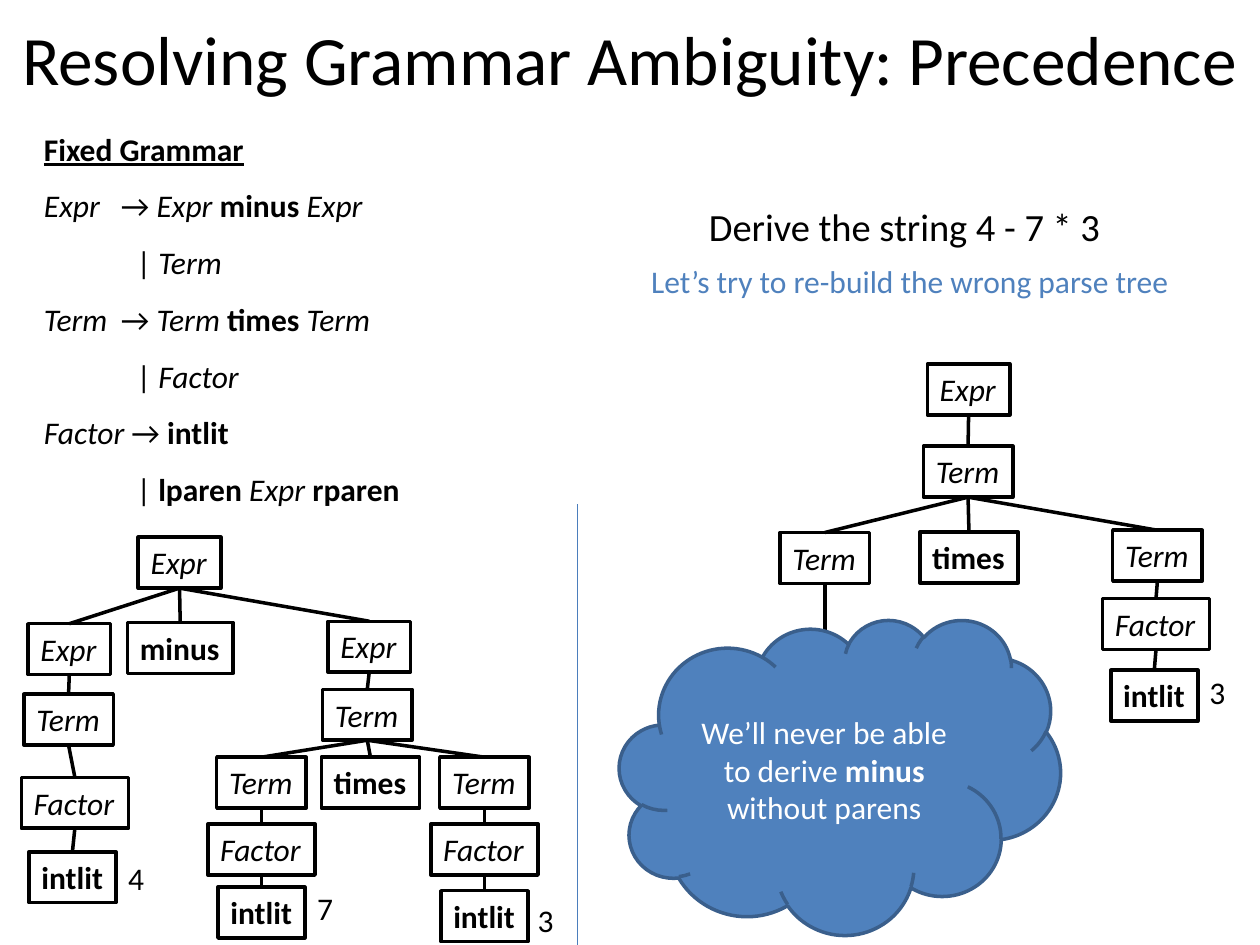
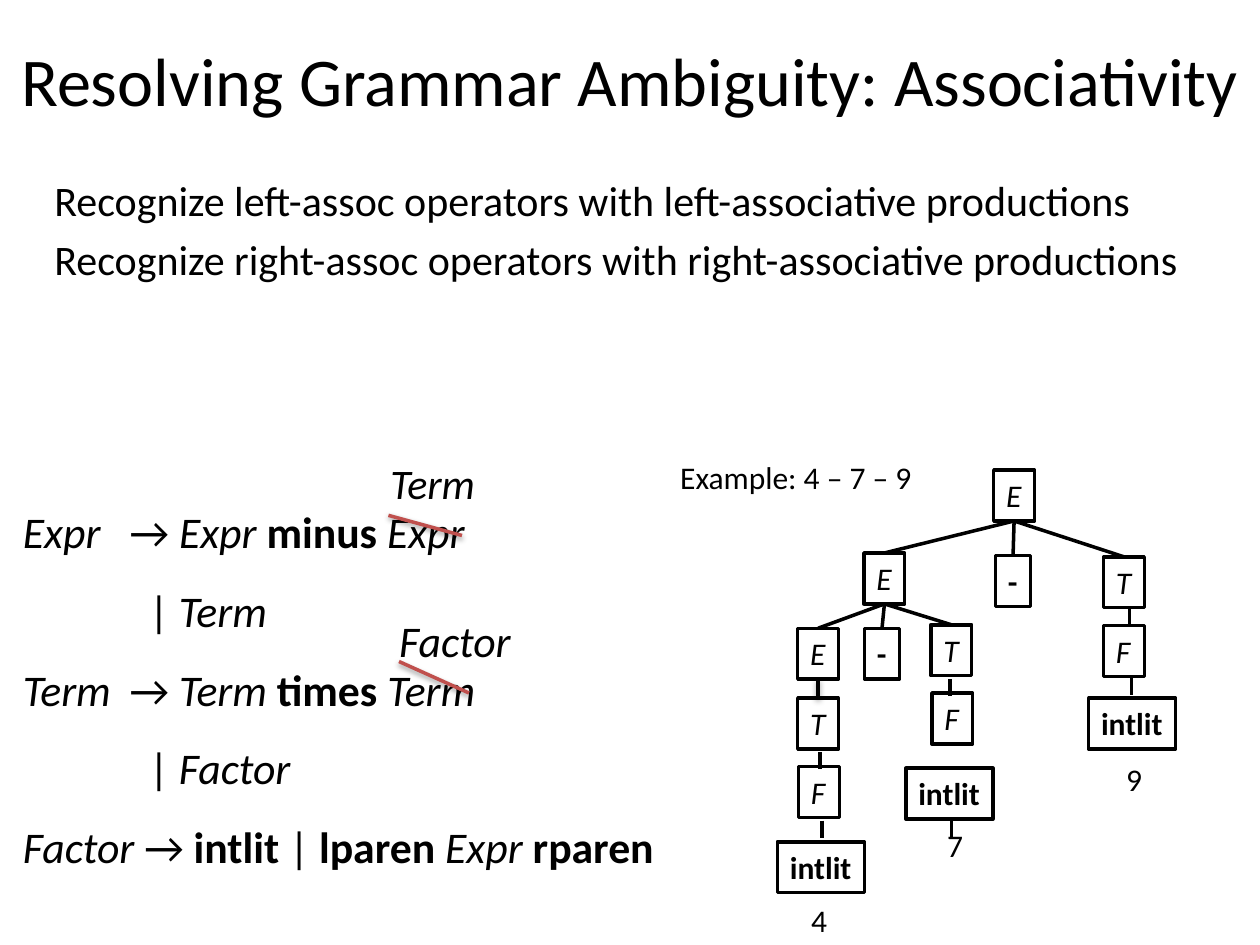
from dataclasses import dataclass
from itertools import groupby

from lxml import etree
from pptx import Presentation
from pptx.dml.color import RGBColor
from pptx.enum.shapes import MSO_CONNECTOR as Connector
from pptx.enum.shapes import MSO_SHAPE as Preset
from pptx.enum.text import MSO_ANCHOR as Anchor
from pptx.enum.text import MSO_AUTO_SIZE as AutoSize
from pptx.enum.text import PP_ALIGN as Align
from pptx.oxml.ns import qn
from pptx.util import Pt

BLACK = RGBColor(0x00, 0x00, 0x00)
WHITE = RGBColor(0xFF, 0xFF, 0xFF)
BLUE = RGBColor(0x4F, 0x81, 0xBD)
DARK_BLUE = RGBColor(0x3A, 0x5F, 0x8C)
DIVIDER_BLUE = RGBColor(0x4B, 0x7E, 0xBC)
RED = RGBColor(0xC0, 0x50, 0x4D)

FONT = "Calibri"
SLIDE_WIDTH, SLIDE_HEIGHT = 720, 540
BODY_SIZE = 18
TREE_LINE = 2
NODE_HEIGHT = 29.1
STUB_LENGTH = 9.6
BOTTOM, TOP = 2, 0

NODE_WIDTHS = {
    "Expr": 47.2, "Term": 51.1, "Factor": 61.3, "intlit": 49.7, "minus": 60.3,
    "times": 56.2, "E": 23.3, "T": 23.3, "F": 23.3, "-": 20,
}
NONTERMINALS = {"Expr", "Term", "Factor", "E", "T", "F"}
TERMINALS = {"minus", "times", "intlit", "lparen", "rparen"}
ITALIC = {"italic": True}
BOLD = {"bold": True}
HEADING = {"bold": True, "underline": True}


@dataclass(frozen=True)
class Line:
    """One paragraph; a tab in its text goes to the tab stop."""
    text: str
    style: dict | None = None
    tab: float | None = None


@dataclass(frozen=True)
class Label:
    """Text box; without wrap it grows to the width of its text."""
    lines: tuple[Line, ...]
    left: float
    top: float
    width: float
    height: float
    size: float = BODY_SIZE
    color: RGBColor = BLACK
    align: Align = Align.LEFT
    anchor: Anchor = Anchor.TOP
    wrap: bool = False
    spacing: float | None = None
    before: float | None = None
    fit: bool = True


@dataclass(frozen=True)
class Node:
    """Parse tree node, placed by its centre line and top."""
    symbol: str
    center: float
    top: float
    children: tuple["Node", ...] = ()
    shadowed_edge: bool = False


@dataclass(frozen=True)
class Stroke:
    x1: float
    y1: float
    x2: float
    y2: float
    color: RGBColor = BLACK
    width: float = TREE_LINE
    shadow: bool = False


def word_style(word: str) -> dict:
    if word in NONTERMINALS:
        return ITALIC
    return BOLD if word in TERMINALS else {}


def write_paragraph(paragraph, line: Line, size: float, color: RGBColor) -> None:
    """Set grammar symbols in italic or bold unless the line has its own style."""
    tokens = ["".join(chars) for _, chars in groupby(line.text, str.isspace)]
    style_of = word_style if line.style is None else lambda _: line.style
    for style, words in groupby(tokens, style_of):
        run = paragraph.add_run()
        run.text = "".join(words)
        run.font.color.rgb = color
        for name, value in ({"name": FONT, "size": Pt(size)} | style).items():
            setattr(run.font, name, value)
    if line.tab:
        tabs = etree.SubElement(paragraph._p.get_or_add_pPr(), qn("a:tabLst"))
        etree.SubElement(tabs, qn("a:tab"), pos=str(Pt(line.tab)), algn="l")


def fill_text(shape, label: Label) -> None:
    frame = shape.text_frame
    frame_format = {
        "word_wrap": label.wrap,
        "vertical_anchor": label.anchor,
        "auto_size": AutoSize.SHAPE_TO_FIT_TEXT if label.fit else AutoSize.NONE,
    }
    for name, value in frame_format.items():
        setattr(frame, name, value)
    paragraph_format = {"alignment": label.align}
    if label.spacing:
        paragraph_format["line_spacing"] = label.spacing
    if label.before:
        paragraph_format["space_before"] = Pt(label.before)
    for index, line in enumerate(label.lines):
        paragraph = frame.add_paragraph() if index else frame.paragraphs[0]
        for name, value in paragraph_format.items():
            setattr(paragraph, name, value)
        write_paragraph(paragraph, line, label.size, label.color)


def box_of(label: Label) -> tuple:
    return tuple(Pt(v) for v in (label.left, label.top, label.width, label.height))


def draw_label(slide, label: Label) -> None:
    fill_text(slide.shapes.add_textbox(*box_of(label)), label)


def draw_shape(slide, preset: Preset, label: Label, fill: RGBColor, outline: RGBColor):
    shape = slide.shapes.add_shape(preset, *box_of(label))
    shape.shadow.inherit = False
    shape.fill.solid()
    shape.fill.fore_color.rgb = fill
    shape.line.color.rgb = outline
    shape.line.width = Pt(TREE_LINE)
    fill_text(shape, label)
    return shape


def draw_stroke(slide, stroke: Stroke):
    ends = (Pt(v) for v in (stroke.x1, stroke.y1, stroke.x2, stroke.y2))
    connector = slide.shapes.add_connector(Connector.STRAIGHT, *ends)
    connector.line.color.rgb = stroke.color
    connector.line.width = Pt(stroke.width)
    effects = etree.SubElement(connector._element.spPr, qn("a:effectLst"))
    if stroke.shadow:
        shadow = etree.SubElement(
            effects, qn("a:outerShdw"), blurRad=str(Pt(3.1)), dist=str(Pt(1.6)),
            dir="5400000", rotWithShape="0")
        color = etree.SubElement(shadow, qn("a:srgbClr"), val=str(BLACK))
        etree.SubElement(color, qn("a:alpha"), val="38000")
    return connector


def draw_tree(slide, node: Node):
    """Draw a node and all below it, joining each parent to its children."""
    width = NODE_WIDTHS[node.symbol]
    style = ITALIC if node.symbol in NONTERMINALS else BOLD
    label = Label((Line(node.symbol, style),), node.center - width / 2, node.top,
                  width, NODE_HEIGHT)
    parent = draw_shape(slide, Preset.RECTANGLE, label, WHITE, BLACK)
    for child in node.children:
        child_box = draw_tree(slide, child)
        edge = draw_stroke(slide, Stroke(node.center, node.top + NODE_HEIGHT,
                                         child.center, child.top,
                                         shadow=child.shadowed_edge))
        edge.begin_connect(parent, BOTTOM)
        edge.end_connect(child_box, TOP)
    return parent


def draw_lexemes(slide, lexemes: tuple[tuple[str, float, float], ...]) -> None:
    for digit, left, top in lexemes:
        draw_label(slide, Label((Line(digit),), left, top, 23.7, NODE_HEIGHT))


def draw_title(slide, text: str, top: float, size: float) -> None:
    draw_label(slide, Label((Line(text, {}),), 0, top, SLIDE_WIDTH, 90, size,
                            align=Align.CENTER, anchor=Anchor.MIDDLE, wrap=True,
                            fit=False))


def grammar_rules(arrow_tab: float, bar_tab: float, last: tuple[Line, ...]) -> tuple:
    return (
        Line("Expr\t→ Expr minus Expr", tab=arrow_tab),
        Line("\t| Term", tab=bar_tab),
        Line("Term\t→ Term times Term", tab=arrow_tab),
        Line("\t| Factor", tab=bar_tab),
        *last,
    )


def build_precedence(slide) -> None:
    draw_title(slide, "Resolving Grammar Ambiguity: Precedence", -12.2, 39.6)
    bar_tab = 53
    factor_rules = (Line("Factor → intlit"),
                    Line("\t| lparen Expr rparen", tab=bar_tab))
    draw_label(slide, Label(
        (Line("Fixed Grammar", HEADING), *grammar_rules(44, bar_tab, factor_rules)),
        18, 59.8, 234, 236, wrap=True, spacing=1.5))

    draw_tree(slide, Node("Expr", 102.6, 307, (
        Node("Expr", 39.6, 356.4, (
            Node("Term", 39.2, 396.7, (
                Node("Factor", 42.8, 444.2, (Node("intlit", 41.4, 486.7),)),)),)),
        Node("minus", 103, 355.7),
        Node("Expr", 211, 355, (
            Node("Term", 209.9, 393.9, (
                Node("Term", 149.4, 432.7, (
                    Node("Factor", 149.4, 470.9, (Node("intlit", 149.4, 506.9),)),)),
                Node("times", 211.7, 432.7),
                Node("Term", 276.8, 432.7, (
                    Node("Factor", 276.8, 470.9, (Node("intlit", 276.8, 509),)),)),
            )),)),
    )))
    draw_tree(slide, Node("Expr", 553.5, 208, (
        Node("Term", 553.2, 255, (
            Node("Term", 471.3, 304.3),
            Node("times", 553.7, 304),
            Node("Term", 661.4, 303, (
                Node("Factor", 660.6, 342, (Node("intlit", 659.6, 383),)),)),
        )),)))
    draw_lexemes(slide, (("4", 66.2, 487.4), ("7", 174.2, 504.7),
                         ("3", 300.2, 511.2), ("3", 684, 381)))

    draw_label(slide, Label((Line("Derive the string 4 - 7 * 3"),),
                            396.7, 112.3, 240.5, 33.9, 22, align=Align.CENTER))
    draw_label(slide, Label((Line("Let’s try to re-build the wrong parse tree"),),
                            365, 146.2, 319, NODE_HEIGHT, color=BLUE))
    draw_stroke(slide, Stroke(330, 288, 330, SLIDE_HEIGHT, DIVIDER_BLUE, 0.75))
    draw_stroke(slide, Stroke(471.3, 333.4, 471.3, 365))
    verdict = Label(
        (Line("We’ll never be able to derive minus"), Line("without parens")),
        354, 354, 252, 180, color=WHITE, align=Align.CENTER,
        anchor=Anchor.MIDDLE, wrap=True, fit=False)
    draw_shape(slide, Preset.CLOUD, verdict, BLUE, DARK_BLUE)


def build_associativity(slide) -> None:
    draw_title(slide, "Resolving Grammar Ambiguity: Associativity", 0, 39)
    draw_label(slide, Label(
        (Line("Recognize left-assoc operators with left-associative productions"),
         Line("Recognize right-assoc operators with right-associative productions")),
        24, 96, 678, 356, 24, wrap=True, before=4.8, fit=False))
    factor_rule = Line("Factor → intlit | lparen Expr rparen")
    draw_label(slide, Label(grammar_rules(61, 72, (factor_rule,)),
                            6, 270, 432, 235, 25, wrap=True, spacing=1.5))

    for stroke in (Stroke(222, 294.5, 264, 306, RED, shadow=True),
                   Stroke(228, 378, 268, 396, RED, shadow=True)):
        draw_stroke(slide, stroke)
    draw_label(slide, Label((Line("Term"),), 216, 258, 64, 36.4, 24))
    draw_label(slide, Label((Line("Factor"),), 221, 347, 79, 37.5, 25))
    draw_label(slide, Label((Line("Example: 4 – 7 – 9"),),
                            381.6, 258, 148.3, NODE_HEIGHT))

    draw_tree(slide, Node("E", 579.5, 268.6, (
        Node("E", 505.4, 316, (
            Node("E", 467.5, 359, (Node("T", 467.5, 399, shadowed_edge=True),)),
            Node("-", 504, 359),
            Node("T", 543.6, 357),
        )),
        Node("-", 578.9, 317.5),
        Node("T", 642.3, 318.2),
    )))
    for detached in (Node("F", 468, 438), Node("intlit", 469.1, 481),
                     Node("F", 544.2, 396), Node("intlit", 542.5, 439),
                     Node("F", 642.3, 357.4), Node("intlit", 646.9, 399)):
        draw_tree(slide, detached)
    for x, y in ((468.7, 430), (469.8, 469), (542.9, 388),
                 (543.6, 469.4), (645.5, 347.8), (646.6, 387.4)):
        draw_stroke(slide, Stroke(x, y, x, y + STUB_LENGTH))
    draw_lexemes(slide, (("4", 456.5, 511.2), ("7", 534.2, 468.7), ("9", 636.5, 430.6)))


def main() -> None:
    deck = Presentation()
    deck.slide_width, deck.slide_height = Pt(SLIDE_WIDTH), Pt(SLIDE_HEIGHT)
    blank = deck.slide_layouts[6]
    for build in (build_precedence, build_associativity):
        build(deck.slides.add_slide(blank))
    deck.save("out.pptx")


if __name__ == "__main__":
    main()
